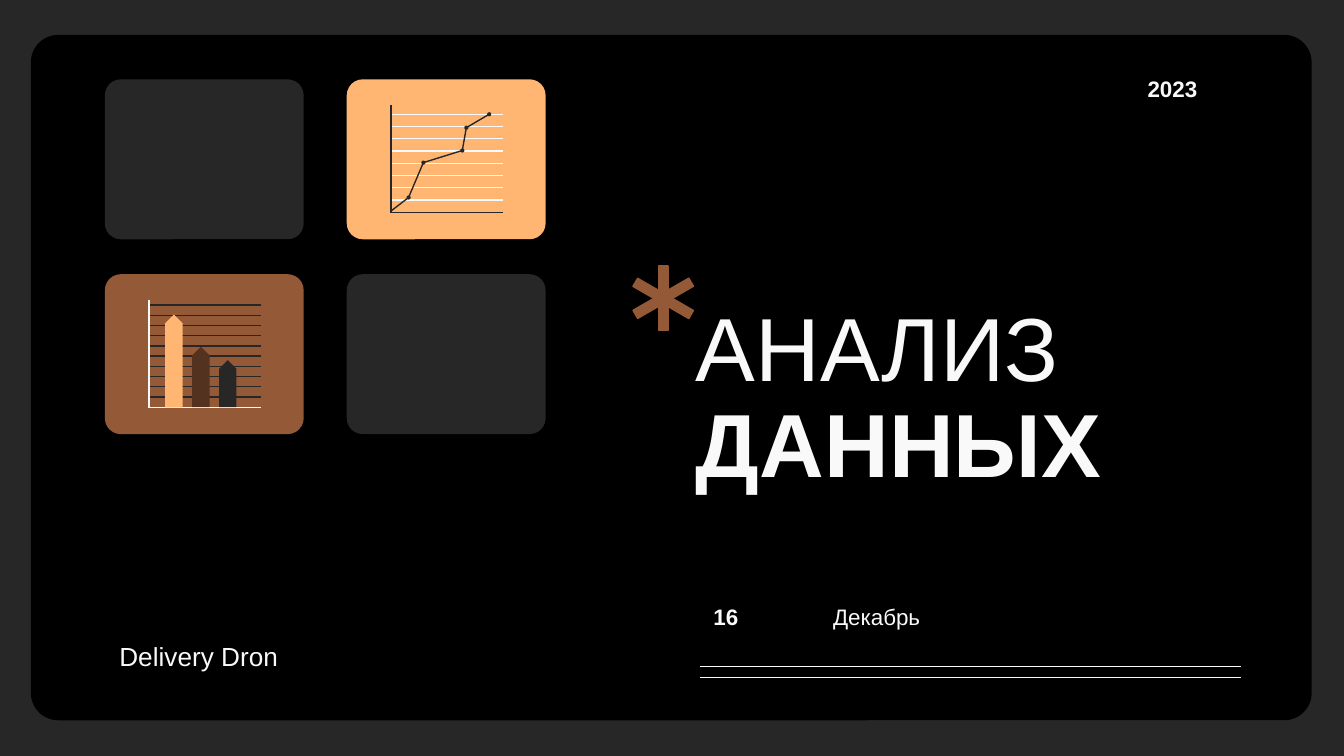
from itertools import pairwise

from lxml.etree import SubElement
from pptx import Presentation
from pptx.dml.color import RGBColor
from pptx.enum.shapes import MSO_CONNECTOR, MSO_SHAPE
from pptx.enum.text import MSO_ANCHOR, MSO_AUTO_SIZE
from pptx.oxml.ns import qn
from pptx.util import Inches, Pt

COLORS = {
    "dark": "272727",
    "black": "000000",
    "orange": "FFB673",
    "brown": "945937",
    "deep": "53321F",
    "white": "F9F9F9",
}


class Deck:
    """Holds the style and the current slide."""

    def __init__(self, width, height):
        self.prs = Presentation()
        self.prs.slide_width = Inches(width)
        self.prs.slide_height = Inches(height)
        self.font = "Arial"
        self.line_width = Pt(0.75)

    def color(self, name):
        return RGBColor.from_string(COLORS[name])

    def slide(self, background):
        self.s = self.prs.slides.add_slide(self.prs.slide_layouts[6])
        fill = self.s.background.fill
        fill.solid()
        fill.fore_color.rgb = self.color(background)

    def shape(self, kind, x, y, w, h, fill, adj=(), outline=False, rotation=0):
        sp = self.s.shapes.add_shape(kind, Inches(x), Inches(y), Inches(w), Inches(h))
        sp.shadow.inherit = False
        sp.fill.solid()
        sp.fill.fore_color.rgb = self.color(fill)
        for i, value in enumerate(adj):
            sp.adjustments[i] = value
        if outline:
            sp.line.color.rgb = self.color(fill)
            sp.line.width = self.line_width
        else:
            sp.line.fill.background()
        sp.rotation = rotation

    def card(self, x, y, fill):
        self.shape(MSO_SHAPE.ROUNDED_RECTANGLE, x, y, 1.48, 1.19, fill, [0.1])

    def line(self, x1, y1, x2, y2, color):
        c = self.s.shapes.add_connector(
            MSO_CONNECTOR.STRAIGHT, Inches(x1), Inches(y1), Inches(x2), Inches(y2)
        )
        c.line.color.rgb = self.color(color)
        c.line.width = self.line_width
        SubElement(c._element.spPr, qn("a:effectLst"))

    def text(self, x, y, w, h, runs, size, spacing=1.0):
        tf = self.s.shapes.add_textbox(Inches(x), Inches(y), Inches(w), Inches(h)).text_frame
        tf.word_wrap = True
        tf.auto_size = MSO_AUTO_SIZE.NONE
        tf.vertical_anchor = MSO_ANCHOR.BOTTOM
        tf.margin_left = tf.margin_right = tf.margin_top = tf.margin_bottom = Inches(0.1)
        p = tf.paragraphs[0]
        p.line_spacing = spacing
        for words, bold in runs:
            r = p.add_run()
            r.text = words
            r.font.name = self.font
            r.font.size = Pt(size)
            r.font.bold = bold
            r.font.color.rgb = self.color("white")

    def plot(self, x, bottom, rows, height, grid, axis):
        for i in range(1, rows + 1):
            y = bottom - i * height / rows
            self.line(x, y, x + 0.84, y, grid)
        self.line(x, bottom, x + 0.84, bottom, axis)
        self.line(x + 0.01, bottom - 0.8, x + 0.01, bottom, axis)


def main():
    deck = Deck(10, 10 * 9 / 16)
    deck.slide("dark")
    deck.shape(MSO_SHAPE.ROUNDED_RECTANGLE, 0.23, 0.26, 9.53, 5.1, "black", [0.04])

    card_colors = [["dark", "orange"], ["brown", "dark"]]
    for row, names in enumerate(card_colors):
        for col, name in enumerate(names):
            deck.card(0.78 + col * 1.8, 0.59 + row * 1.45, name)

    deck.text(5.08, 1.83, 4.14, 1.97, [("АНАЛИЗ ", False), ("ДАННЫХ", True)], 48, 0.9)
    deck.text(0.79, 4.47, 2.67, 0.63, [("Delivery Dron", False)], 14)
    deck.text(8.44, 0.59, 0.77, 0.27, [("2023", True)], 12)
    deck.text(5.21, 4.52, 0.4, 0.27, [("16", True)], 12)
    deck.text(6.1, 4.52, 0.94, 0.27, [("Декабрь", False)], 12)

    for angle in (0, 300, 60):
        deck.shape(MSO_SHAPE.RECTANGLE, 4.9, 1.98, 0.07, 0.48, "brown",
                   outline=True, rotation=angle)

    deck.plot(2.9, 1.58, 8, 0.73, "white", "dark")
    points = [(3.04, 1.47), (3.15, 1.21), (3.44, 1.12), (3.47, 0.95), (3.64, 0.85)]
    for x, y in points:
        deck.shape(MSO_SHAPE.OVAL, x - 0.01, y - 0.01, 0.02, 0.02, "dark", outline=True)
    for start, end in pairwise([(2.91, 1.57)] + points):
        deck.line(*start, *end, "dark")

    deck.plot(1.1, 3.03, 10, 0.76, "dark", "white")
    bars = [(0.69, "orange"), (0.45, "deep"), (0.35, "dark")]
    for i, (height, name) in enumerate(bars):
        deck.shape(MSO_SHAPE.SNIP_2_SAME_RECTANGLE, 1.23 + i * 0.2, 3.03 - height,
                   0.13, height, name, [0.5, 0])

    for y in (4.96, 5.04):
        deck.line(9.23, y, 5.21, y, "white")

    deck.prs.save("out.pptx")


if __name__ == "__main__":
    main()
